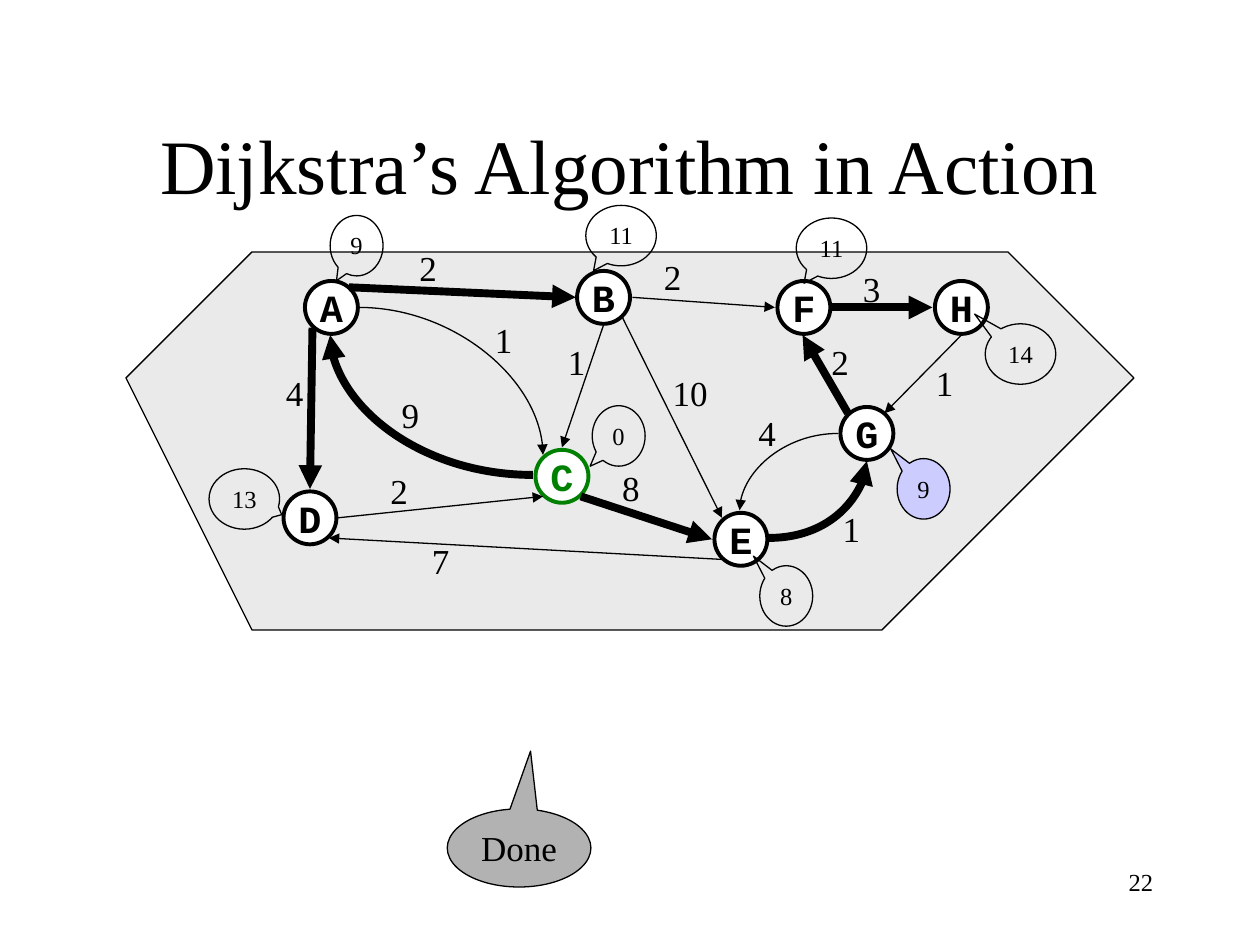
from pptx import Presentation
from pptx.dml.color import RGBColor
from pptx.enum import shapes, text
from pptx.oxml.ns import qn
from pptx.util import Inches, Pt
from lxml import etree

BLACK = RGBColor(0x00, 0x00, 0x00)
WHITE = RGBColor(0xFF, 0xFF, 0xFF)
GREEN = RGBColor(0x00, 0x80, 0x00)
REGION_GRAY = RGBColor(0xEA, 0xEA, 0xEA)
DONE_GRAY = RGBColor(0xB2, 0xB2, 0xB2)
LILAC = RGBColor(0xCC, 0xCC, 0xFF)

SERIF, MONO = "Times New Roman", "Courier New"
THIN, RING, THICK = 0.74, 2.24, 4.5
NODE_SIZE = 0.42
DIGIT_WIDTH = 0.14
LEFT, CENTER, RIGHT = text.PP_ALIGN.LEFT, text.PP_ALIGN.CENTER, text.PP_ALIGN.RIGHT
TOP, MIDDLE = text.MSO_ANCHOR.TOP, text.MSO_ANCHOR.MIDDLE


class GraphSlide:
    """Holds the slide and draws each kind of element on it."""

    def __init__(self, slide):
        """Keep the slide's shape collection."""
        self.shapes = slide.shapes

    def style(self, outline, fill, line=BLACK, width=THIN):
        """Set fill and line, and drop the shadow."""
        outline.shadow.inherit = False
        if fill is None:
            outline.fill.background()
        else:
            outline.fill.solid()
            outline.fill.fore_color.rgb = fill
        outline.line.color.rgb = line
        outline.line.width = Pt(width)

    def put_text(self, holder, words, size, align=CENTER, anchor=TOP, font=SERIF,
                 color=BLACK, bold=False, wrap=False, grow=False):
        """Put one run of text into a shape or text box."""
        frame = holder.text_frame
        frame.word_wrap = wrap
        frame.auto_size = (text.MSO_AUTO_SIZE.SHAPE_TO_FIT_TEXT if grow
                           else text.MSO_AUTO_SIZE.NONE)
        frame.vertical_anchor = anchor
        paragraph = frame.paragraphs[0]
        paragraph.alignment = align
        run = paragraph.add_run()
        run.text = words
        run.font.name = font
        run.font.size = Pt(size)
        run.font.bold = bold
        run.font.color.rgb = color

    def label(self, words, left, top, width, height, size, **options):
        """Add a text box."""
        box = self.shapes.add_textbox(*map(Inches, (left, top, width, height)))
        self.put_text(box, words, size, **options)

    def region(self, corners):
        """Add the shaded outline around the visited nodes."""
        builder = self.shapes.build_freeform(*corners[0], scale=Inches(1))
        builder.add_line_segments(corners[1:], close=True)
        self.style(builder.convert_to_shape(), REGION_GRAY)

    def node(self, name, x, y, color=BLACK):
        """Add a circle centred on x, y."""
        half = NODE_SIZE / 2
        circle = self.shapes.add_shape(
            shapes.MSO_SHAPE.OVAL,
            *map(Inches, (x - half, y - half, NODE_SIZE, NODE_SIZE)))
        self.style(circle, WHITE, color, RING)
        self.put_text(circle, name, 22, anchor=MIDDLE, font=MONO, color=color, bold=True)

    def edge(self, start, end, thick=False, curved=False):
        """Add an arrow; a curved one leaves level and arrives upright."""
        kind = shapes.MSO_CONNECTOR.CURVE if curved else shapes.MSO_CONNECTOR.STRAIGHT
        arrow = self.shapes.add_connector(kind, *map(Inches, (*start, *end)))
        arrow.line.color.rgb = BLACK
        arrow.line.width = Pt(THICK if thick else THIN)
        properties = arrow._element.spPr
        if curved:
            properties.find(qn("a:prstGeom")).set("prst", "curvedConnector2")
        etree.SubElement(properties.find(qn("a:ln")), qn("a:tailEnd"), type="triangle")
        etree.SubElement(properties, qn("a:effectLst"))

    def callout(self, words, left, top, width, height, tip, fill=None, size=14):
        """Add an oval speech bubble whose tip is relative to its centre."""
        bubble = self.shapes.add_shape(
            shapes.MSO_SHAPE.OVAL_CALLOUT, *map(Inches, (left, top, width, height)))
        bubble.adjustments[0], bubble.adjustments[1] = tip
        self.style(bubble, fill)
        self.put_text(bubble, words, size, grow=True)


REGION = [(3.19, 1.86), (4.41, 1.68), (6.26, 1.76), (6.88, 1.55), (8.1, 2.03),
          (8.7, 2.73), (8.58, 3.42), (7.82, 4.03), (7.25, 4.62), (6.63, 4.97),
          (5.3, 4.87), (1.73, 4.67), (1.45, 3.3), (2.11, 2.02), (2.72, 1.64)]

NODES = [("A", 2.63, 2.44), ("C", 4.46, 3.78, GREEN), ("B", 4.79, 2.36),
         ("D", 2.46, 4.11), ("F", 6.38, 2.44), ("H", 7.63, 2.44),
         ("G", 6.88, 3.44), ("E", 5.88, 4.28)]

# start, end, on shortest path, curved, weight, left and top of weight
EDGES = [
    ((2.85, 2.44), (4.31, 3.61), False, True, "1", 3.83, 2.48),
    ((4.23, 3.77), (2.62, 2.66), True, True, "9", 3.09, 3.07),
    ((2.77, 2.28), (4.57, 2.36), True, False, "2", 3.23, 1.91),
    ((4.79, 2.58), (4.46, 3.55), False, False, "1", 4.41, 2.65),
    ((2.68, 4.11), (4.31, 3.94), False, False, "2", 3.0, 3.68),
    ((2.48, 2.6), (2.46, 3.88), True, False, "4", 2.17, 2.9),
    ((4.61, 3.94), (5.65, 4.28), True, False, "8", 4.84, 3.65),
    ((5.73, 4.44), (2.61, 4.27), False, False, "7", 3.33, 4.23),
    ((6.73, 3.28), (6.37, 2.66), True, False, "2", 6.5, 2.65),
    ((6.6, 2.44), (7.4, 2.44), True, False, "3", 6.75, 2.07),
    ((7.63, 2.66), (7.02, 3.28), False, False, "1", 7.33, 2.82),
    ((6.65, 3.44), (5.87, 4.05), False, True, "4", 5.92, 3.22),
    ((6.1, 4.27), (6.88, 3.66), True, True, "1", 6.59, 3.98),
    ((5.02, 2.36), (6.15, 2.44), False, False, "2", 5.17, 1.98),
    ((4.94, 2.52), (5.73, 4.11), False, False, "10", 5.24, 2.9),
]

# distance, left, top, tip, fill
DISTANCES = [
    ("0", 4.7, 3.22, (-0.54, 0.5), None),
    ("8", 6.03, 4.49, (-0.62, -0.66), None),
    ("9", 7.12, 3.64, (-0.62, -0.66), LILAC),
    ("14", 7.82, 2.57, (-0.65, -0.66), None),
    ("11", 6.32, 1.73, (-0.39, 0.58), None),
    ("11", 4.65, 1.63, (-0.39, 0.58), None),
    ("9", 2.62, 1.71, (-0.38, 0.58), None),
    ("13", 1.66, 3.72, (0.53, 0.26), None),
]


def main():
    """Build and save the slide."""
    deck = Presentation()
    deck.slide_width, deck.slide_height = Inches(10), Inches(7.5)
    graph = GraphSlide(deck.slides.add_slide(deck.slide_layouts[6]))

    graph.region(REGION)
    graph.label("Dijkstra’s Algorithm in Action", 0.75, 0.67, 8.5, 1.25, 44,
                align=CENTER, anchor=MIDDLE, wrap=True)
    for node in NODES:
        graph.node(*node)
    for start, end, shortest, curved, *_ in EDGES:
        graph.edge(start, end, shortest, curved)
    for *_, weight, left, top in EDGES:
        graph.label(weight, left, top, 0.2 + DIGIT_WIDTH * len(weight), 0.44, 20,
                    align=LEFT, grow=True)
    for distance, left, top, tip, fill in DISTANCES:
        graph.callout(distance, left, top, 0.28 + DIGIT_WIDTH * len(distance), 0.48,
                      tip, fill)
    graph.callout("Done", 3.55, 6.42, 1.14, 0.62, (0.08, -1.24), DONE_GRAY, 20)
    graph.label("22", 7.17, 6.83, 2.08, 0.5, 14, align=RIGHT, wrap=True)
    deck.save("out.pptx")


main()
